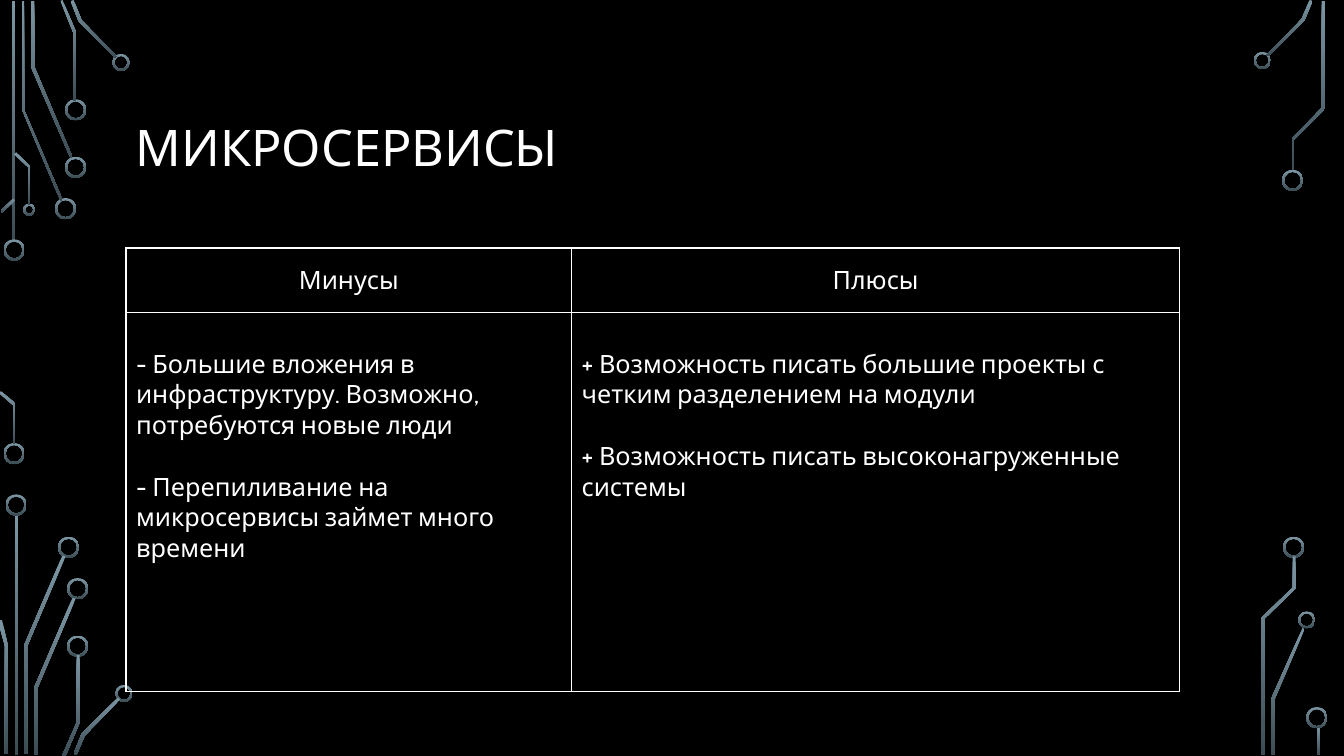
"""Build the slide on the drawbacks and benefits of microservices."""
import pptx
import pptx.dml.color
import pptx.enum.shapes
import pptx.enum.text
import pptx.oxml
import pptx.oxml.ns
import pptx.util
from pptx.util import Inches

COLORS = {"back": "000000", "text": "FFFFFF", "light": "7C96A3", "dark": "3B4C54"}
FONT = "Cabin"

BARS = [(0.12, 0.01, 2.39), (0.15, 5.1, 2.39), (13.06, 7.21, 0.28)]

RINGS = [
    (0.14, 2.48, 0.21), (0.14, 4.5, 0.21), (0.65, 2.07, 0.21), (0.75, 1.66, 0.21),
    (0.75, 1.09, 0.21), (1.2, 0.62, 0.17), (0.29, 2.08, 0.12), (0.16, 5.01, 0.21),
    (0.68, 5.43, 0.21), (0.77, 5.84, 0.21), (0.77, 6.41, 0.21), (1.23, 6.88, 0.17),
    (12.52, 0.6, 0.17), (12.82, 1.79, 0.21), (12.96, 6.15, 0.17), (12.83, 5.43, 0.21),
    (13.06, 7.12, 0.21),
]

TRACES = [
    [(0.6, 1.99), (0.22, 1.09), (0.22, 0.01), (0.24, 0.01), (0.24, 1.09), (0.62, 1.98)],
    [(0.7, 1.57), (0.31, 0.67), (0.31, 0.01), (0.34, 0.01), (0.34, 0.66), (0.72, 1.56)],
    [(0.76, 1), (0.73, 1), (0.73, 0.33), (0.6, 0.01), (0.62, 0), (0.76, 0.33)],
    [(1.15, 0.58), (0.78, 0.21), (0.7, 0.01), (0.73, 0), (0.81, 0.2), (1.16, 0.56)],
    [(0.02, 2.11), (0.01, 2.09), (0.13, 1.97), (0.15, 1.99)],
    [(0.15, 4.41), (0.13, 4.41), (0.13, 4.02), (-0.01, 3.9), (0.01, 3.88), (0.15, 4)],
    [(0.3, 2.03), (0.28, 2.03), (0.28, 1.66), (0.14, 1.53), (0.16, 1.51), (0.3, 1.65)],
    [(0.27, 7.48), (0.24, 7.48), (0.24, 6.4), (0.62, 5.51), (0.65, 5.52), (0.27, 6.41)],
    [(0.08, 7.48), (0.05, 7.48), (0.05, 6.41), (-0.02, 6.16), (0.02, 6.15), (0.08, 6.41)],
    [(0.37, 7.49), (0.34, 7.49), (0.34, 6.82), (0.72, 5.93), (0.75, 5.94), (0.37, 6.83)],
    [(0.65, 7.5), (0.62, 7.49), (0.76, 7.17), (0.76, 6.5), (0.79, 6.5), (0.79, 7.17)],
    [(0.76, 7.49), (0.73, 7.48), (0.81, 7.28), (1.17, 6.92), (1.19, 6.94), (0.84, 7.3)],
    [(12.58, 0.56), (12.56, 0.55), (12.91, 0.19), (12.99, 0), (13.02, 0.01), (12.94, 0.2)],
    [(12.64, 7.49), (12.61, 7.49), (12.61, 6.93), (12.92, 6.23), (12.94, 6.24), (12.64, 6.94)],
    [(12.83, 1.69), (12.81, 1.69), (12.81, 1.38), (13.11, 1.07), (13.11, 0.01),
     (13.14, 0.01), (13.14, 1.08), (12.83, 1.39)],
    [(12.54, 7.49), (12.51, 7.49), (12.51, 6.13), (12.82, 5.83), (12.82, 5.52),
     (12.85, 5.52), (12.85, 5.84), (12.54, 6.14)],
]

HEADINGS = ["Минусы", "Плюсы"]
POINTS = [
    ["- Большие вложения в инфраструктуру. Возможно, потребуются новые люди",
     "- Перепиливание на микросервисы займет много времени"],
    ["+ Возможность писать большие проекты с четким разделением на модули",
     "+ Возможность писать высоконагруженные системы"],
]


def paint_circuit(shape):
    shape.shadow.inherit = False
    shape.line.fill.background()
    shape.fill.gradient()
    shape.fill.gradient_angle = 270
    for stop, name in zip(shape.fill.gradient_stops, ("light", "dark")):
        stop.color.rgb = pptx.dml.color.RGBColor.from_string(COLORS[name])


def style_text(para, size):
    for span in para.runs:
        span.font.name = FONT
        span.font.size = pptx.util.Pt(size)
        span.font.bold = False
        span.font.color.rgb = pptx.dml.color.RGBColor.from_string(COLORS["text"])


deck = pptx.Presentation()
deck.slide_width = Inches(13.33)
deck.slide_height = Inches(7.5)
page = deck.slides.add_slide(deck.slide_layouts[6])
page.background.fill.solid()
page.background.fill.fore_color.rgb = pptx.dml.color.RGBColor.from_string(COLORS["back"])

for left, top, height in BARS:
    bar = page.shapes.add_shape(
        pptx.enum.shapes.MSO_SHAPE.RECTANGLE,
        Inches(left), Inches(top), Inches(0.03), Inches(height))
    paint_circuit(bar)

for center_x, center_y, size in RINGS:
    ring = page.shapes.add_shape(
        pptx.enum.shapes.MSO_SHAPE.DONUT,
        Inches(center_x - size / 2), Inches(center_y - size / 2), Inches(size), Inches(size))
    ring.adjustments[0] = 0.02 / size
    paint_circuit(ring)

for trace in TRACES:
    corners = [(Inches(x), Inches(y)) for x, y in trace]
    outline = page.shapes.build_freeform(*corners[0])
    outline.add_line_segments(corners[1:], close=True)
    paint_circuit(outline.convert_to_shape())

title = page.shapes.add_textbox(Inches(1.25), Inches(0.68), Inches(10.83), Inches(1.62))
title.text_frame.word_wrap = True
title.text_frame.vertical_anchor = pptx.enum.text.MSO_ANCHOR.MIDDLE
title.text_frame.text = "МИКРОСЕРВИСЫ"
title.text_frame.paragraphs[0].line_spacing = 0.9
style_text(title.text_frame.paragraphs[0], 36)

table = page.shapes.add_table(
    2, 2, Inches(1.25), Inches(2.46), Inches(10.45), Inches(4.4)).table
table.first_row = False
table.horz_banding = False
table.rows[0].height = Inches(0.64)
table.rows[1].height = Inches(3.76)

for column, width in enumerate((4.42, 6.03)):
    table.columns[column].width = Inches(width)
    heading = table.cell(0, column)
    heading.text_frame.text = HEADINGS[column]
    heading.text_frame.paragraphs[0].alignment = pptx.enum.text.PP_ALIGN.CENTER
    heading.vertical_anchor = pptx.enum.text.MSO_ANCHOR.MIDDLE

    body = table.cell(1, column)
    body.margin_top = Inches(0.36)
    body.text_frame.text = "\n".join(POINTS[column])
    body.text_frame.paragraphs[1].space_before = pptx.util.Pt(22)

for cell in table.iter_cells():
    for para in cell.text_frame.paragraphs:
        style_text(para, 18)
    cell.fill.background()
    properties = cell._tc.get_or_add_tcPr()
    for position, side in enumerate(("lnL", "lnR", "lnT", "lnB")):
        border = pptx.oxml.parse_xml(
            f'<a:{side} {pptx.oxml.ns.nsdecls("a")} w="12700"><a:solidFill>'
            f'<a:srgbClr val="{COLORS["text"]}"/></a:solidFill></a:{side}>')
        properties.insert(position, border)

deck.save("out.pptx")
